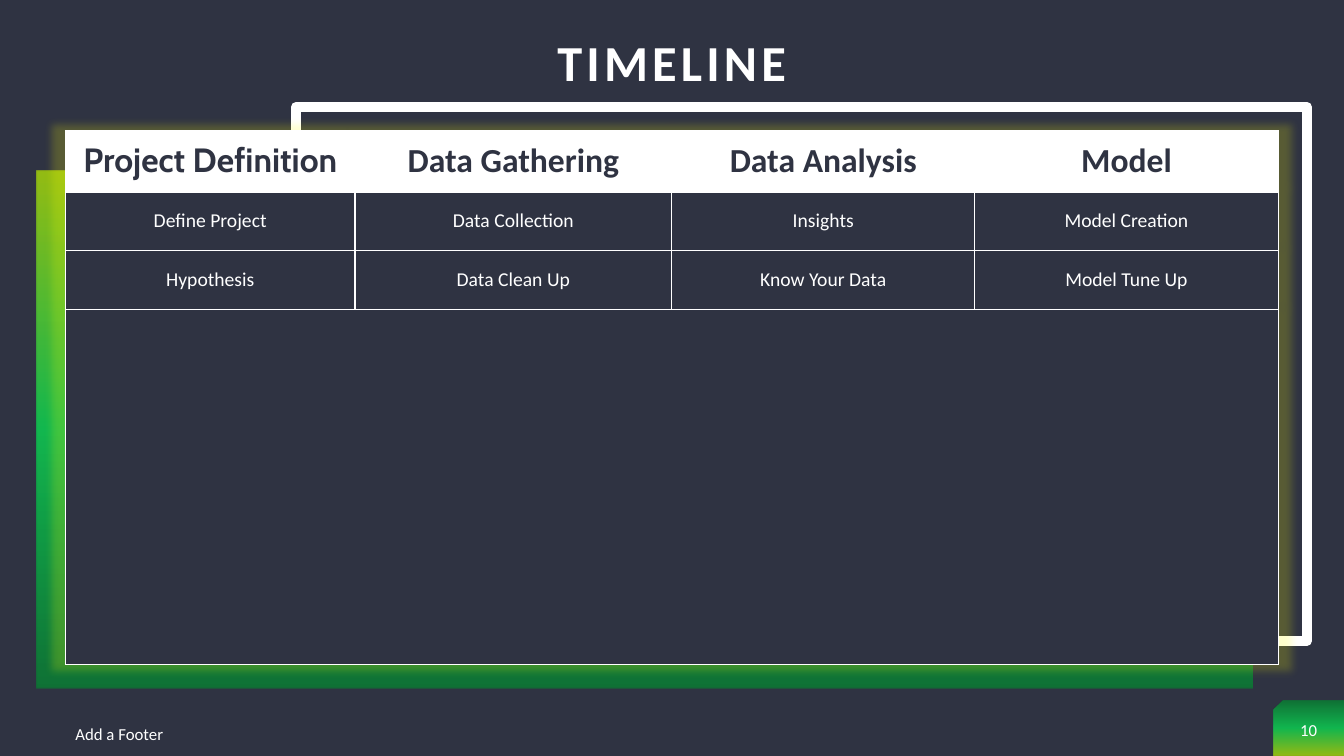
from lxml import etree
from pptx import Presentation
from pptx.dml.color import RGBColor
from pptx.enum.shapes import MSO_SHAPE
from pptx.enum.text import MSO_ANCHOR, PP_ALIGN
from pptx.oxml import parse_xml
from pptx.oxml.ns import nsdecls, qn
from pptx.util import Pt

DARK, WHITE, GLOW = "2F3342", "FFFFFF", "FFFF00"
GRADIENT = [(0, "038B30"), (50, "05EE55"), (100, "C0F400")]
COLUMN_WIDTHS = [206.8, 226.2, 216.6, 216.6]
ROW_HEIGHTS = [43.3, 42.2, 42.2, 253.6]
ROWS = [
    ["Project Definition", "Data Gathering", "Data Analysis", "Model"],
    ["Define Project", "Data Collection", "Insights", "Model Creation"],
    ["Hypothesis", "Data Clean Up", "Know Your Data", "Model Tune Up"],
]


def color(value):
    return RGBColor.from_string(value)


class TimelineSlide:
    """Holds the text style and the slide, and adds each kind of element."""

    def __init__(self, presentation, font="Calibri"):
        self.font = font
        self.slide = presentation.slides.add_slide(presentation.slide_layouts[5])
        self.slide.background.fill.solid()
        self.slide.background.fill.fore_color.rgb = color(DARK)

    def format_text(self, text_frame, size, ink=WHITE, bold=False, align=PP_ALIGN.CENTER, font=None):
        for paragraph in text_frame.paragraphs:
            paragraph.alignment = align
            for run in paragraph.runs:
                run.font.name = font or self.font
                run.font.size = Pt(size)
                run.font.bold = bold
                run.font.color.rgb = color(ink)

    def title(self, text, left, top, width, height):
        shape = self.slide.shapes.title
        shape.left, shape.top, shape.width, shape.height = Pt(left), Pt(top), Pt(width), Pt(height)
        text_frame = shape.text_frame
        text_frame.text = text
        text_frame.vertical_anchor = MSO_ANCHOR.MIDDLE
        self.format_text(text_frame, 36, bold=True)
        paragraph = text_frame.paragraphs[0]
        paragraph.line_spacing = 0.9
        paragraph.runs[0].font._element.set("spc", "300")

    def text(self, text, left, top, width, height, align):
        shape = self.slide.shapes.add_textbox(Pt(left), Pt(top), Pt(width), Pt(height))
        text_frame = shape.text_frame
        text_frame.word_wrap = True
        text_frame.vertical_anchor = MSO_ANCHOR.MIDDLE
        text_frame.text = text
        self.format_text(text_frame, 12, align=align)

    def shape(self, kind, left, top, width, height):
        shape = self.slide.shapes.add_shape(kind, Pt(left), Pt(top), Pt(width), Pt(height))
        shape.shadow.inherit = False
        shape._element.spPr.find(qn("a:xfrm")).set("flipH", "1")
        return shape

    def frame(self, left, top, width, height, weight):
        shape = self.shape(MSO_SHAPE.RECTANGLE, left, top, width, height)
        shape.fill.background()
        shape.line.color.rgb = color(WHITE)
        shape.line.width = Pt(weight)

    def gradient(self, kind, left, top, width, height, angle):
        shape = self.shape(kind, left, top, width, height)
        shape.line.fill.background()
        stops = "".join(
            f'<a:gs pos="{position * 1000}"><a:srgbClr val="{value}"><a:alpha val="70000"/></a:srgbClr></a:gs>'
            for position, value in GRADIENT
        )
        fill = parse_xml(
            f'<a:gradFill {nsdecls("a")} rotWithShape="1"><a:gsLst>{stops}</a:gsLst>'
            f'<a:lin ang="{angle * 60000}" scaled="0"/></a:gradFill>'
        )
        shape._element.spPr.find(qn("a:prstGeom")).addnext(fill)

    def borders(self, cell, bottom):
        properties = cell._tc.get_or_add_tcPr()
        weights = {"lnL": 1, "lnR": 1, "lnT": 1, "lnB": bottom}
        for index, (side, weight) in enumerate(weights.items()):
            line = etree.Element(qn(f"a:{side}"), w=str(Pt(weight)))
            fill = etree.SubElement(line, qn("a:solidFill"))
            etree.SubElement(fill, qn("a:srgbClr"), val=WHITE)
            properties.insert(index, line)

    def table(self, left, top):
        frame = self.slide.shapes.add_table(
            len(ROW_HEIGHTS), len(COLUMN_WIDTHS), Pt(left), Pt(top),
            Pt(sum(COLUMN_WIDTHS)), Pt(sum(ROW_HEIGHTS)),
        )
        table = frame.table
        table._tbl.tblPr.insert(0, parse_xml(
            f'<a:effectLst {nsdecls("a")}><a:outerShdw blurRad="{Pt(5)}" sx="102000" sy="102000" '
            f'algn="ctr" rotWithShape="0"><a:srgbClr val="{GLOW}"><a:alpha val="20000"/></a:srgbClr>'
            "</a:outerShdw></a:effectLst>"
        ))
        for column, width in zip(table.columns, COLUMN_WIDTHS):
            column.width = Pt(width)
        for row_index, height in enumerate(ROW_HEIGHTS):
            table.rows[row_index].height = Pt(height)
            header = row_index == 0
            for column_index in range(len(COLUMN_WIDTHS)):
                cell = table.cell(row_index, column_index)
                cell.fill.solid()
                cell.fill.fore_color.rgb = color(WHITE if header else DARK)
                self.borders(cell, 3 if header else 1)
                cell.vertical_anchor = MSO_ANCHOR.MIDDLE
                cell.margin_left = cell.margin_right = Pt(5)
                cell.margin_top = cell.margin_bottom = Pt(2.6)
                if row_index < len(ROWS):
                    cell.text_frame.text = ROWS[row_index][column_index]
                    self.format_text(
                        cell.text_frame, 24 if header else 14, DARK if header else WHITE, header,
                        font="Cabin" if header and column_index == 0 else None,
                    )
        last = len(ROW_HEIGHTS) - 1
        table.cell(last, 0).merge(table.cell(last, len(COLUMN_WIDTHS) - 1))


def main():
    presentation = Presentation()
    presentation.slide_width, presentation.slide_height = Pt(960), Pt(540)
    timeline = TimelineSlide(presentation)
    timeline.gradient(MSO_SHAPE.SNIP_1_RECTANGLE, 909.4, 500.2, 50.6, 39.8, 90)
    timeline.title("TIMELINE", 46.8, 0, 866.2, 93.6)
    timeline.frame(211.5, 76.3, 722, 381.6, 7)
    timeline.gradient(MSO_SHAPE.RECTANGLE, 26.4, 121.7, 868.3, 370, 270)
    timeline.table(46.8, 93.3)
    timeline.text("Add a Footer", 46.8, 509.4, 324, 28.8, PP_ALIGN.LEFT)
    timeline.text("10", 909.4, 505, 50.6, 32.4, PP_ALIGN.CENTER)
    presentation.save("out.pptx")


if __name__ == "__main__":
    main()
